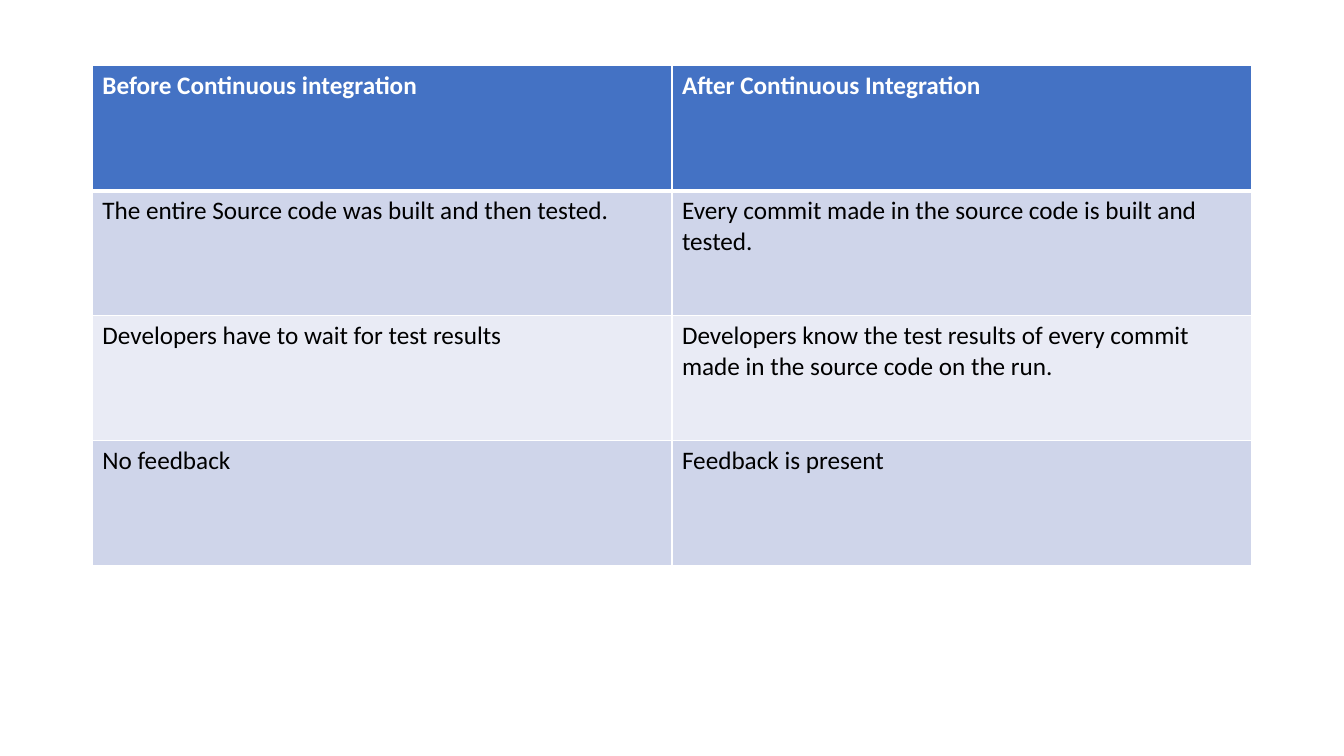
from dataclasses import dataclass

from lxml.etree import SubElement as Sub
from pptx import Presentation
from pptx.dml.color import RGBColor as RGB
from pptx.oxml.ns import qn
from pptx.slide import Slide
from pptx.table import _Cell as Cell
from pptx.util import Pt


@dataclass(frozen=True)
class Theme:
    font: str = "Calibri"
    size: float = 18
    head: str = "4472C4"
    bands: tuple[str, str] = ("CFD5EA", "E9EBF5")
    light: str = "FFFFFF"
    dark: str = "000000"
    thin: float = 1
    thick: float = 3


@dataclass(frozen=True)
class Row:
    before: str
    after: str


THEME = Theme()
ROWS = [
    Row("Before Continuous integration", "After Continuous Integration"),
    Row("The entire Source code was built and then tested.",
        "Every commit made in the source code is built and tested."),
    Row("Developers have to wait for test results",
        "Developers know the test results of every commit made in the source code on the run."),
    Row("No feedback", "Feedback is present"),
]

# Table frame, in points
LEFT, TOP = 66, 46.8
COL_W, ROW_H = 414, 89.4


def add_edge(cell: Cell, side: str, width: float) -> None:
    props = cell._tc.get_or_add_tcPr()
    line = Sub(props, qn(f"a:ln{side}"), w=str(Pt(width)))
    fill = Sub(line, qn("a:solidFill"))
    Sub(fill, qn("a:srgbClr"), val=THEME.light)


def fill_cell(cell: Cell, text: str, row: int) -> None:
    is_head = row == 0

    # Borders come before the fill; a thick line lies under the header
    for side in "LRTB":
        is_thick = (row, side) in ((0, "B"), (1, "T"))
        add_edge(cell, side, THEME.thick if is_thick else THEME.thin)
    cell.fill.solid()
    shade = THEME.head if is_head else THEME.bands[(row - 1) % 2]
    cell.fill.fore_color.rgb = RGB.from_string(shade)

    # Text
    cell.text = text
    font = cell.text_frame.paragraphs[0].font
    font.name = THEME.font
    font.size = Pt(THEME.size)
    font.bold = is_head
    font.color.rgb = RGB.from_string(THEME.light if is_head else THEME.dark)


def add_grid(slide: Slide, rows: list[Row]) -> None:
    frame = slide.shapes.add_table(
        len(rows), 2, Pt(LEFT), Pt(TOP), Pt(2 * COL_W), Pt(len(rows) * ROW_H))
    table = frame.table
    for col in table.columns:
        col.width = Pt(COL_W)
    for i, row in enumerate(rows):
        table.rows[i].height = Pt(ROW_H)
        for j, text in enumerate((row.before, row.after)):
            fill_cell(table.cell(i, j), text, i)


def main() -> None:
    deck = Presentation()
    deck.slide_width, deck.slide_height = Pt(960), Pt(540)
    slide = deck.slides.add_slide(deck.slide_layouts[6])
    add_grid(slide, ROWS)
    deck.save("out.pptx")


if __name__ == "__main__":
    main()
